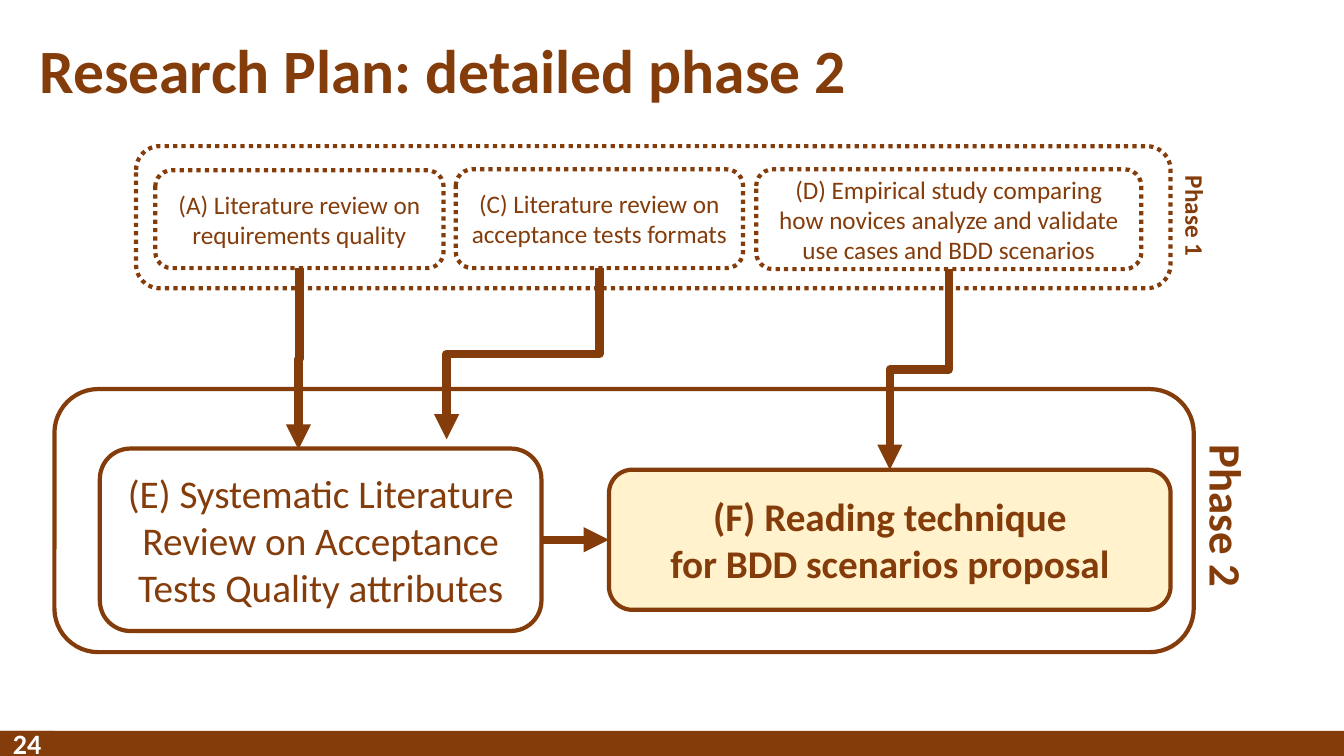
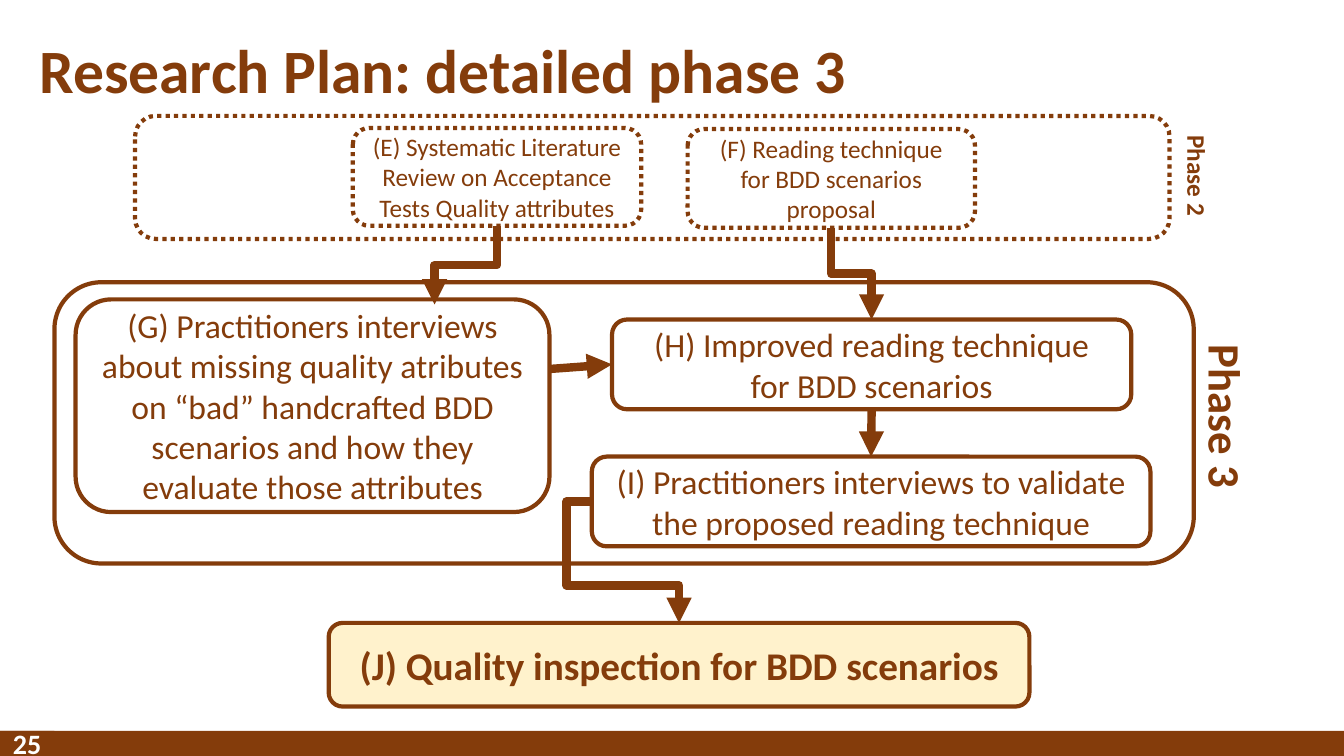
from lxml import etree
from pptx import Presentation
from pptx.dml.color import RGBColor
from pptx.enum.dml import MSO_LINE
from pptx.enum.shapes import MSO_CONNECTOR, MSO_SHAPE
from pptx.enum.text import MSO_ANCHOR, MSO_AUTO_SIZE, PP_ALIGN
from pptx.oxml.ns import qn
from pptx.util import Inches, Pt

RECTANGLE = MSO_SHAPE.RECTANGLE
ROUNDED = MSO_SHAPE.ROUNDED_RECTANGLE
STRAIGHT = MSO_CONNECTOR.STRAIGHT
ELBOW = MSO_CONNECTOR.ELBOW
DOTTED = MSO_LINE.ROUND_DOT
MIDDLE = MSO_ANCHOR.MIDDLE
CENTER = PP_ALIGN.CENTER
LEFT = PP_ALIGN.LEFT
NO_AUTOSIZE = MSO_AUTO_SIZE.NONE
TOP_SIDE, LEFT_SIDE, BOTTOM_SIDE, RIGHT_SIDE = range(4)

COLORS = {"brown": "843C0B", "cream": "FFF2CC", "white": "FFFFFF"}
FONT = "Calibri"
WIDTH, HEIGHT = 13.33, 7.5
BAND_HEIGHT = 0.25


def color(name):
    return RGBColor.from_string(COLORS[name])


def write(frame, text, size=18, bold=False, ink="brown", align=CENTER, spacing=None):
    para = frame.paragraphs[0]
    para.text = text
    para.alignment = align
    if spacing:
        para.line_spacing = spacing
    for span in para.runs:
        span.font.name = FONT
        span.font.size = Pt(size)
        span.font.bold = bold
        span.font.color.rgb = color(ink)


class PlanDeck:
    def __init__(self):
        self.deck = Presentation()
        self.deck.slide_width = Inches(WIDTH)
        self.deck.slide_height = Inches(HEIGHT)
        self.page = None

    def start_page(self, title, number):
        self.page = self.deck.slides.add_slide(self.deck.slide_layouts[5])
        heading = self.page.shapes.title
        heading.left, heading.top = Inches(0.29), Inches(0)
        heading.width, heading.height = Inches(11.5), Inches(1.45)
        heading.text_frame.auto_size = NO_AUTOSIZE
        heading.text_frame.vertical_anchor = MIDDLE
        write(heading.text_frame, title, size=44, bold=True, align=LEFT, spacing=0.9)
        self.band(WIDTH)
        number_box = self.band(0.54)
        write(number_box.text_frame, str(number), size=20, bold=True, ink="white")

    def shape(self, preset, left, top, width, height, fill):
        box = self.page.shapes.add_shape(
            preset, Inches(left), Inches(top), Inches(width), Inches(height))
        box.shadow.inherit = False
        box.fill.solid()
        box.fill.fore_color.rgb = color(fill)
        box.text_frame.vertical_anchor = MIDDLE
        return box

    def band(self, width):
        strip = self.shape(RECTANGLE, 0, HEIGHT - BAND_HEIGHT, width, BAND_HEIGHT, "brown")
        strip.line.fill.background()
        return strip

    def box(self, left, top, width, height, text="", size=18, bold=False,
            fill="white", dotted=False):
        box = self.shape(ROUNDED, left, top, width, height, fill)
        box.line.color.rgb = color("brown")
        box.line.width = Pt(3)
        if dotted:
            box.line.dash_style = DOTTED
        if text:
            write(box.text_frame, text, size=size, bold=bold)
        return box

    def result(self, left, top, width, height, text):
        return self.box(left, top, width, height, text, size=28, bold=True, fill="cream")

    def phase_label(self, left, top, width, height, text, size):
        label = self.page.shapes.add_textbox(
            Inches(left), Inches(top), Inches(width), Inches(height))
        label.rotation = 90
        label.text_frame.word_wrap = False
        write(label.text_frame, text, size=size, bold=True, align=LEFT)

    def connector(self, kind, start, end):
        link = self.page.shapes.add_connector(kind, 0, 0, 0, 0)
        if isinstance(start[0], (int, float)):
            link.begin_x, link.begin_y = map(Inches, start)
        else:
            link.begin_connect(*start)
        if isinstance(end[0], (int, float)):
            link.end_x, link.end_y = map(Inches, end)
        else:
            link.end_connect(*end)
        link.line.color.rgb = color("brown")
        link.line.width = Pt(6)
        properties = link._element.spPr
        etree.SubElement(properties.find(qn("a:ln")), qn("a:tailEnd"), type="triangle")
        etree.SubElement(properties, qn("a:effectLst"))
        return link

    def arrow(self, start, end):
        self.connector(STRAIGHT, start, end)

    def drop(self, start, end):
        link = self.connector(ELBOW, start, end)
        across = link.end_x - link.begin_x
        down = link.end_y - link.begin_y
        middle_x = (link.begin_x + link.end_x) // 2
        middle_y = (link.begin_y + link.end_y) // 2
        frame = link._element.spPr.find(qn("a:xfrm"))
        frame.attrib.clear()
        frame.set("rot", str((270 if across > 0 else 90) * 60000))
        if across > 0:
            frame.set("flipH", "1")
        link.width, link.height = down, abs(across)
        link.left = middle_x - down // 2
        link.top = middle_y - abs(across) // 2

    def side_drop(self, start, end, across, down):
        link = self.connector(ELBOW, start, end)
        geometry = link._element.spPr.find(qn("a:prstGeom"))
        geometry.set("prst", "bentConnector4")
        guides = geometry.find(qn("a:avLst"))
        if guides is None:
            guides = etree.SubElement(geometry, qn("a:avLst"))
        for name, share in (("adj1", across), ("adj2", down)):
            etree.SubElement(guides, qn("a:gd"), name=name,
                             fmla=f"val {round(share * 100000)}")


def build_phase_two(plan):
    plan.start_page("Research Plan: detailed phase 2", 24)
    plan.box(1.35, 1.45, 10.26, 1.41, dotted=True)
    plan.box(0.54, 3.86, 11.3, 2.61)
    requirements = plan.box(
        1.54, 1.69, 2.86, 0.97, "(A) Literature review on requirements quality", dotted=True)
    formats = plan.box(
        4.52, 1.68, 2.85, 0.98, "(C) Literature review on acceptance tests formats", dotted=True)
    study = plan.box(
        7.5, 1.68, 3.82, 0.99,
        "(D) Empirical study comparing how novices analyze and validate "
        "use cases and BDD scenarios", dotted=True)
    review = plan.box(
        0.99, 4.45, 4.38, 1.81,
        "(E) Systematic Literature Review on Acceptance Tests Quality attributes", size=28)
    technique = plan.result(
        6.04, 4.66, 5.57, 1.39, "(F) Reading technique\nfor BDD scenarios proposal")
    plan.drop((requirements, BOTTOM_SIDE), (2.96, 4.46))
    plan.drop((formats, BOTTOM_SIDE), (4.43, 4.36))
    plan.drop((study, BOTTOM_SIDE), (technique, TOP_SIDE))
    plan.arrow((review, RIGHT_SIDE), (technique, LEFT_SIDE))
    plan.phase_label(11.35, 1.95, 1.01, 0.4, "Phase 1", 18)
    plan.phase_label(11.35, 4.81, 1.64, 0.64, "Phase 2", 32)


def build_phase_three(plan):
    plan.start_page("Research Plan: detailed phase 3", 25)
    plan.box(1.34, 1.15, 10.26, 1.22, dotted=True)
    plan.box(0.54, 2.8, 11.3, 2.79)
    review = plan.box(
        3.5, 1.27, 2.86, 0.97,
        "(E) Systematic Literature Review on Acceptance Tests Quality attributes", dotted=True)
    technique = plan.box(
        6.82, 1.28, 2.85, 0.98,
        "(F) Reading technique\nfor BDD scenarios proposal", dotted=True)
    plan.box(
        0.75, 2.97, 4.7, 2.11,
        "(G) Practitioners interviews about missing quality atributes on “bad” handcrafted "
        "BDD scenarios and how they evaluate those attributes", size=24)
    improved = plan.box(
        6.07, 3.17, 5.15, 0.89, "(H) Improved reading technique\nfor BDD scenarios", size=24)
    validation = plan.box(
        5.87, 4.53, 5.54, 0.89,
        "(I) Practitioners interviews to validate the proposed reading technique", size=24)
    inspection = plan.result(
        3.26, 6.18, 6.95, 0.83, "(J) Quality inspection for BDD scenarios")
    plan.drop((review, BOTTOM_SIDE), (4.31, 3.02))
    plan.drop((technique, BOTTOM_SIDE), (improved, TOP_SIDE))
    plan.arrow((5.46, 3.66), (improved, LEFT_SIDE))
    plan.arrow((improved, BOTTOM_SIDE), (validation, TOP_SIDE))
    plan.side_drop((validation, LEFT_SIDE), (inspection, TOP_SIDE), across=-0.29, down=0.69)
    plan.phase_label(11.37, 1.55, 1.01, 0.4, "Phase 2", 18)
    plan.phase_label(11.34, 3.82, 1.64, 0.64, "Phase 3", 32)


def main():
    plan = PlanDeck()
    build_phase_two(plan)
    build_phase_three(plan)
    plan.deck.save("out.pptx")


if __name__ == "__main__":
    main()
